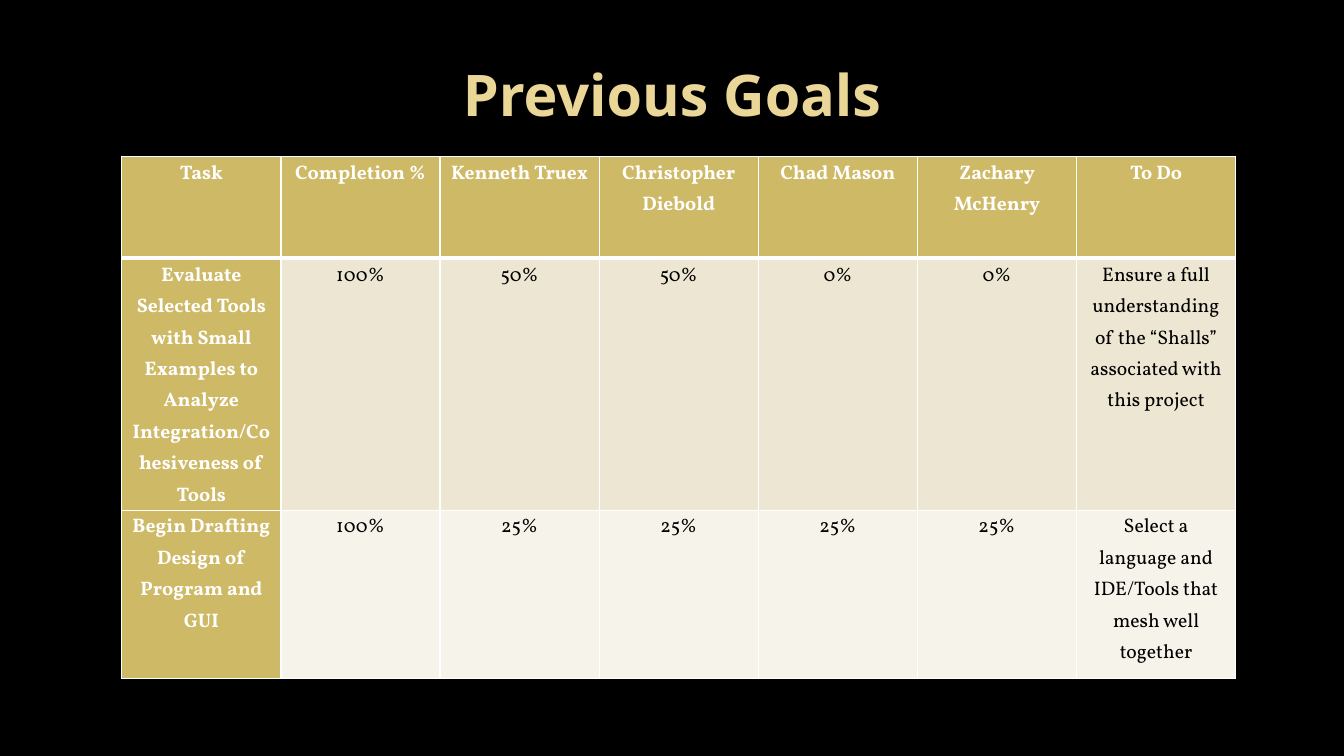
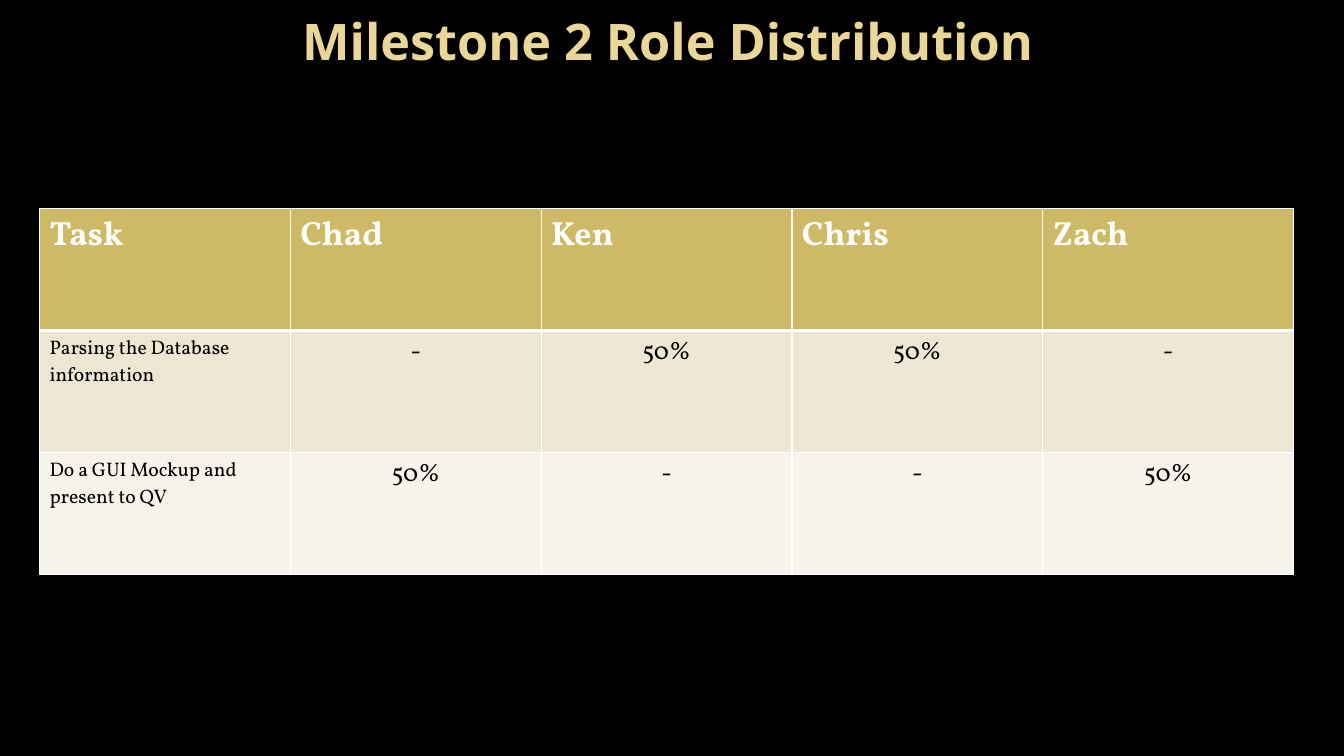
import pptx
import pptx.util
import pptx.dml.color
import pptx.enum.text
import pptx.oxml

Cm = pptx.util.Cm
Pt = pptx.util.Pt
Align = pptx.enum.text.PP_ALIGN
Anchor = pptx.enum.text.MSO_ANCHOR

HUES = {"back": "000000", "title": "EAD696", "gold": "CEB966",
        "sand": "EDE6D3", "cream": "F6F3EA", "white": "FFFFFF", "ink": "000000"}
FONTS = {"title": "Open Sans", "body": "Vollkorn"}
BANDS = ("sand", "cream")

GOALS = {
    "title": "Previous Goals", "size": 41, "box": (1.7, 0.76, 30.48, 3.18),
    "spot": (3.07, 3.94), "width": 4.01, "rows": (2.57, 5.92, 4.24),
    "inset": (0.19, 0), "space": 1.15, "lead": True,
    "head": {"size": 14, "align": Align.CENTER},
    "first": {"size": 14, "align": Align.CENTER},
    "rest": {"size": 14, "align": Align.CENTER},
    "cells": [
        ("Task", "Completion %", "Kenneth Truex", "Christopher Diebold",
         "Chad Mason", "Zachary McHenry", "To Do"),
        ("Evaluate Selected Tools with Small Examples to Analyze "
         "Integration/Cohesiveness of Tools", "100%", "50%", "50%", "0%", "0%",
         "Ensure a full understanding of the “Shalls” associated with this project"),
        ("Begin Drafting Design of Program and GUI", "100%", "25%", "25%", "25%", "25%",
         "Select a language and IDE/Tools that mesh well together"),
    ],
}

ROLES = {
    "title": "Milestone 2 Role Distribution", "size": 36, "box": (4.5, 0, 24.66, 2.03),
    "spot": (1.0, 5.26), "width": 6.32, "rows": (3.07, 3.07, 3.07),
    "inset": (0.25, 0.13), "space": 1, "lead": False,
    "head": {"size": 24, "align": Align.LEFT},
    "first": {"size": 14, "align": Align.LEFT},
    "rest": {"size": 18, "align": Align.CENTER},
    "cells": [
        ("Task", "Chad", "Ken", "Chris", "Zach"),
        ("Parsing the Database information", "-", "50%", "50%", "-"),
        ("Do a GUI Mockup and present to QV", "50%", "-", "-", "50%"),
    ],
}


def rgb(hue):
    return pptx.dml.color.RGBColor.from_string(HUES[hue])


def write(frame, text, font="body", size=14, hue="ink", bold=False,
          align=Align.CENTER, space=1):
    para = frame.paragraphs[0]
    para.alignment = align
    para.line_spacing = space
    run = para.add_run()
    run.text = text
    run.font.name = FONTS[font]
    run.font.size = Pt(size)
    run.font.bold = bold
    run.font.color.rgb = rgb(hue)


def edge(cell, **sides):
    props = cell._tc.get_or_add_tcPr()
    for side in "LRTB":
        width = Pt(sides.get(side, 1))
        props.append(pptx.oxml.parse_xml(
            f'<a:ln{side} xmlns:a="http://schemas.openxmlformats.org/drawingml/2006/main"'
            f' w="{width}"><a:solidFill><a:srgbClr val="{HUES["white"]}"/>'
            f'</a:solidFill></a:ln{side}>'))


def head(slide, data):
    title = slide.shapes.title
    title.left, title.top, title.width, title.height = map(Cm, data["box"])
    title.text_frame.vertical_anchor = Anchor.MIDDLE
    write(title.text_frame, data["title"], font="title", size=data["size"],
          hue="title", bold=True)


def grid(slide, data):
    cells = data["cells"]
    count = len(cells[0])
    left, top = map(Cm, data["spot"])
    table = slide.shapes.add_table(
        len(cells), count, left, top,
        Cm(data["width"] * count), Cm(sum(data["rows"]))).table
    for col in table.columns:
        col.width = Cm(data["width"])
    for row, high in zip(table.rows, data["rows"]):
        row.height = Cm(high)
    side, rim = map(Cm, data["inset"])
    for r, line in enumerate(cells):
        for c, text in enumerate(line):
            cell = table.cell(r, c)
            cell.margin_left = cell.margin_right = side
            cell.margin_top = cell.margin_bottom = rim
            strong = r == 0 or (c == 0 and data["lead"])
            edge(cell, T=3 if r == 1 else 1, B=3 if r == 0 else 1)
            cell.fill.solid()
            cell.fill.fore_color.rgb = rgb("gold" if strong else BANDS[(r - 1) % 2])
            style = data["head" if r == 0 else "first" if c == 0 else "rest"]
            write(cell.text_frame, text, bold=strong, space=data["space"],
                  hue="white" if strong else "ink", **style)


def main():
    deck = pptx.Presentation()
    deck.slide_width, deck.slide_height = Cm(33.87), Cm(19.05)
    back = deck.slide_master.background.fill
    back.solid()
    back.fore_color.rgb = rgb("back")
    for data in (GOALS, ROLES):
        slide = deck.slides.add_slide(deck.slide_layouts[5])
        head(slide, data)
        grid(slide, data)
    deck.save("out.pptx")


if __name__ == "__main__":
    main()
